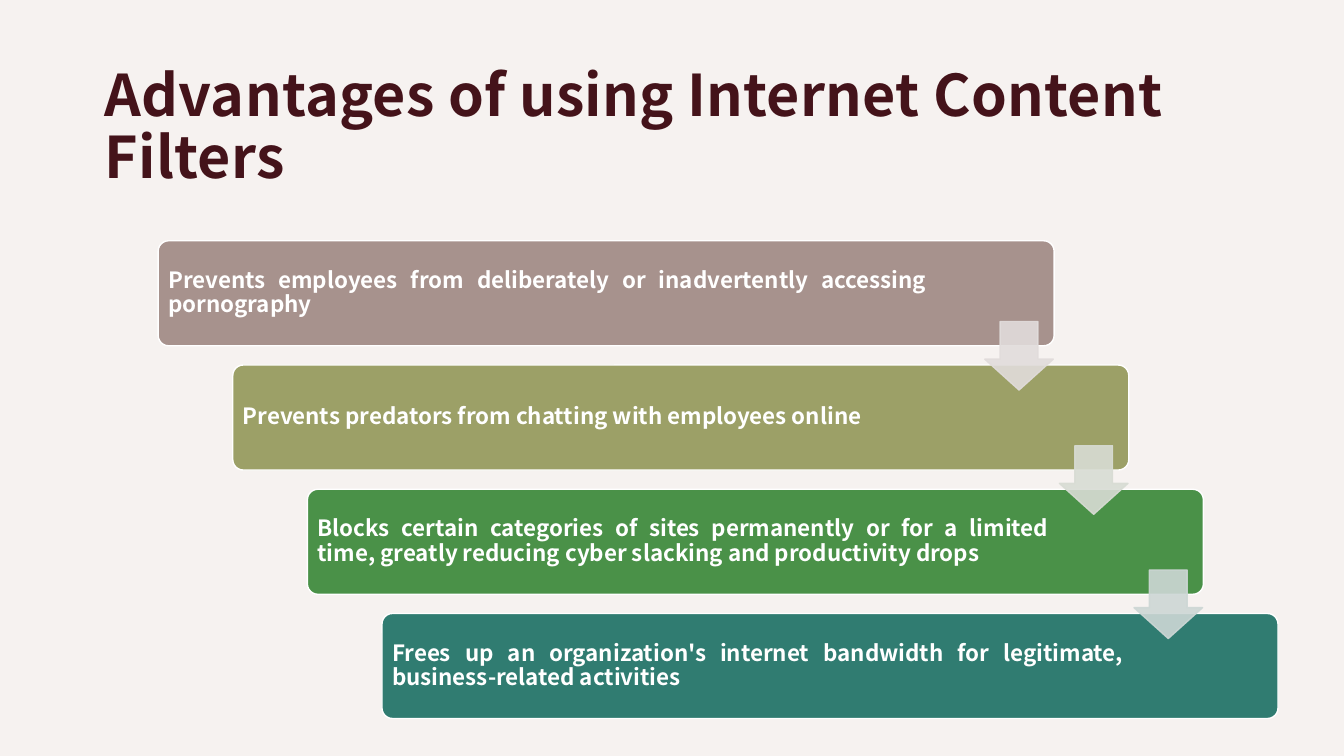
from dataclasses import dataclass

import pptx
import pptx.dml.color
import pptx.enum.shapes
import pptx.enum.text
import pptx.oxml.ns
import pptx.slide
import pptx.text.text
import pptx.util
from lxml import etree

Pt = pptx.util.Pt
RGBColor = pptx.dml.color.RGBColor
Shapes = pptx.enum.shapes.MSO_SHAPE
Align = pptx.enum.text.PP_ALIGN
Anchor = pptx.enum.text.MSO_ANCHOR

FONT = "Noto Sans CJK JP"
COLORS = {
    "background": "F6F2F0",
    "title": "44131A",
    "white": "FFFFFF",
    "mauve": "A7928D",
    "olive": "9CA067",
    "green": "4A9148",
    "teal": "307C71",
    "mauve arrow": "E1DCDB",
    "olive arrow": "D8DCD4",
    "green arrow": "CDD7D5",
}

# Staircase geometry, in points
BAR_LEFT, BAR_TOP, BAR_WIDTH, BAR_HEIGHT = 113, 172, 640, 75
STEP_X, STEP_Y = 53.3, 88.75
ARROW_X, ARROW_Y, ARROW_SIZE = 590.4, 57.6, 49
INSET = 5


@dataclass
class Advantage:
    text: str
    color: str
    right_inset: float = 108


ADVANTAGES = [
    Advantage("Prevents employees from deliberately or inadvertently accessing pornography",
              "mauve", 88.6),
    Advantage("Prevents predators from chatting with employees online", "olive"),
    Advantage("Blocks certain categories of sites permanently or for a limited time, "
              "greatly reducing cyber slacking and productivity drops", "green"),
    Advantage("Frees up an organization's internet bandwidth for legitimate, "
              "business-related activities", "teal"),
]


def rgb(name: str) -> RGBColor:
    return RGBColor.from_string(COLORS[name])


def add_span(para: pptx.text.text._Paragraph, text: str, size: float, color: str):
    para.line_spacing = 0.9
    span = para.add_run()
    span.text = text
    span.font.name = FONT
    span.font.size = Pt(size)
    span.font.bold = True
    span.font.color.rgb = rgb(color)
    return span


def add_box(page: pptx.slide.Slide, kind: Shapes, left: float, top: float,
            width: float, height: float, fill: str, line: str):
    box = page.shapes.add_shape(kind, Pt(left), Pt(top), Pt(width), Pt(height))
    box.shadow.inherit = False
    box.fill.solid()
    box.fill.fore_color.rgb = rgb(fill)
    box.line.color.rgb = rgb(line)
    box.line.width = Pt(1)
    return box


def add_title(page: pptx.slide.Slide, text: str) -> None:
    title = page.shapes.title
    title.left, title.top, title.width, title.height = Pt(66.2), Pt(43.9), Pt(815), Pt(100.8)
    frame = title.text_frame
    frame.auto_size = pptx.enum.text.MSO_AUTO_SIZE.NONE
    frame.vertical_anchor = Anchor.TOP
    frame.word_wrap = True
    para = frame.paragraphs[0]
    para.alignment = Align.LEFT
    span = add_span(para, text, 41, "title")
    # Left indent and letter spacing
    para._p.get_or_add_pPr().set("marL", str(Pt(1.4)))
    span._r.get_or_add_rPr().set("spc", "20")


def add_bar(page: pptx.slide.Slide, index: int, advantage: Advantage) -> None:
    bar = add_box(page, Shapes.ROUNDED_RECTANGLE, BAR_LEFT + index * STEP_X,
                  BAR_TOP + index * STEP_Y, BAR_WIDTH, BAR_HEIGHT, advantage.color, "white")
    bar.adjustments[0] = 0.1
    frame = bar.text_frame
    frame.word_wrap = True
    frame.vertical_anchor = Anchor.MIDDLE
    frame.margin_left = frame.margin_top = frame.margin_bottom = Pt(INSET)
    frame.margin_right = Pt(advantage.right_inset)
    para = frame.paragraphs[0]
    para.alignment = Align.JUSTIFY
    para.space_after = Pt(5.6)
    add_span(para, advantage.text, 16, "white")


def add_arrow(page: pptx.slide.Slide, index: int, color: str) -> None:
    arrow = add_box(page, Shapes.DOWN_ARROW, BAR_LEFT + ARROW_X + index * STEP_X,
                    BAR_TOP + ARROW_Y + index * STEP_Y, ARROW_SIZE, ARROW_SIZE, color, color)
    arrow.adjustments[0] = 0.55
    arrow.adjustments[1] = 0.45
    # Fill and outline are slightly transparent
    qn = pptx.oxml.ns.qn
    for tint in arrow._element.spPr.iter(qn("a:srgbClr")):
        etree.SubElement(tint, qn("a:alpha")).set("val", "90000")


def main() -> None:
    deck = pptx.Presentation()
    deck.slide_width, deck.slide_height = Pt(960), Pt(540)
    page = deck.slides.add_slide(deck.slide_layouts[5])
    page.background.fill.solid()
    page.background.fill.fore_color.rgb = rgb("background")

    add_title(page, "Advantages of using Internet Content Filters")

    # Descending bars, then the arrows that link them
    for index, advantage in enumerate(ADVANTAGES):
        add_bar(page, index, advantage)
    for index, advantage in enumerate(ADVANTAGES[:-1]):
        add_arrow(page, index, f"{advantage.color} arrow")

    deck.save("out.pptx")


if __name__ == "__main__":
    main()
